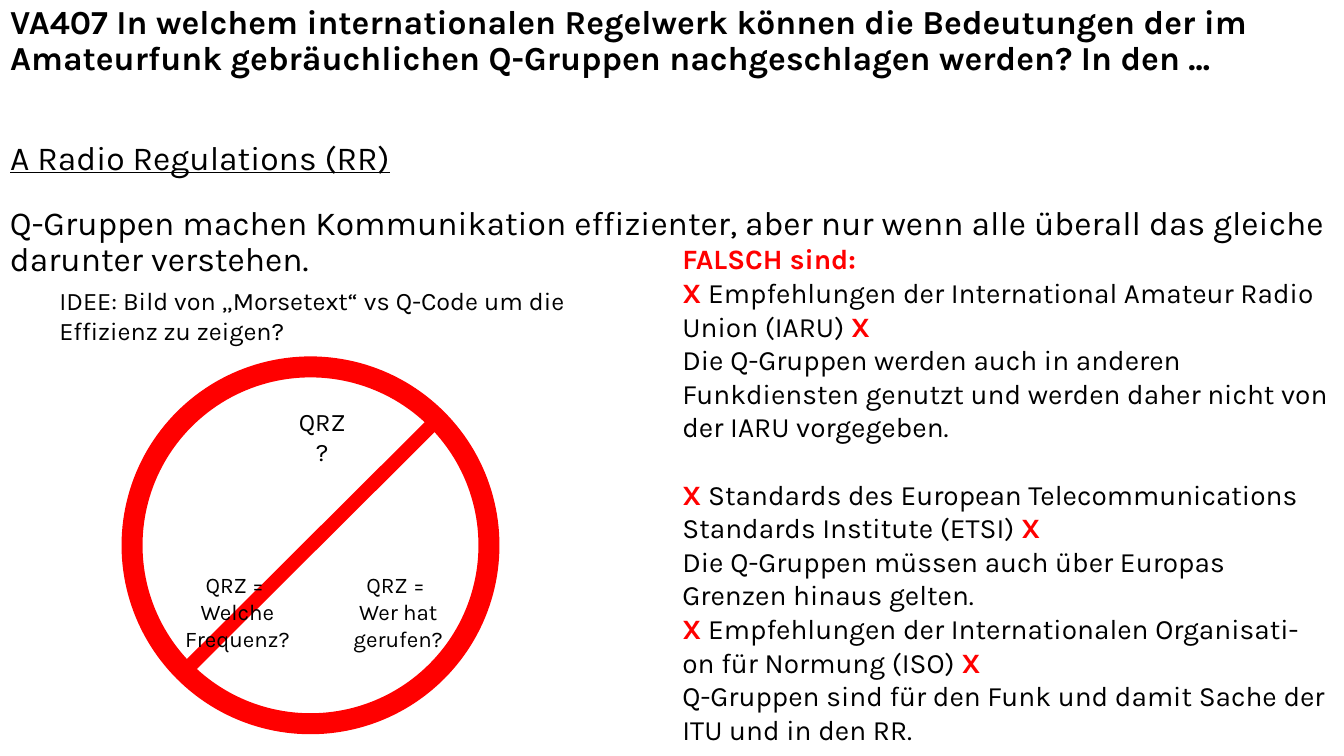
from pptx import Presentation
from pptx.dml.color import RGBColor
from pptx.enum.shapes import MSO_CONNECTOR, MSO_SHAPE
from pptx.enum.text import MSO_ANCHOR, MSO_AUTO_SIZE, PP_ALIGN
from pptx.oxml.ns import qn
from pptx.util import Inches, Pt

LEFT, CENTER = PP_ALIGN.LEFT, PP_ALIGN.CENTER
TOP = MSO_ANCHOR.TOP
FIXED = MSO_AUTO_SIZE.NONE
OVAL = MSO_SHAPE.OVAL
STRAIGHT = MSO_CONNECTOR.STRAIGHT

FONT = "Karla"
COLORS = {"text": "000000", "red": "FF0000"}
CROSS = "X"

QUESTION = ("VA407 In welchem internationalen Regelwerk können die Bedeutungen der im "
            "Amateurfunk gebräuchlichen Q-Gruppen nachgeschlagen werden? In den ...")
ANSWER = "A Radio Regulations (RR)"
REASON = ("Q-Gruppen machen Kommunikation effizienter, aber nur wenn alle überall "
          "das gleiche darunter verstehen.")
IDEA = "IDEE: Bild von „Morsetext“ vs Q-Code um die Effizienz zu zeigen?"

# first line, second line, explanation, space before in points
WRONG = [
    ("Empfehlungen der International Amateur Radio", "Union (IARU)",
     "Die Q-Gruppen werden auch in anderen Funkdiensten genutzt und werden "
     "daher nicht von der IARU vorgegeben.", 0),
    ("Standards des European Telecommunications", "Standards Institute (ETSI)",
     "Die Q-Gruppen müssen auch über Europas Grenzen hinaus gelten.", 24),
    ("Empfehlungen der Internationalen Organisati-", "on für Normung (ISO)",
     "Q-Gruppen sind für den Funk und damit Sache der ITU und in den RR.", 0),
]

# text, box relative to the sign, size
LABELS = [
    ("QRZ?", (1.54, 0.34, 0.69, 0.31), 18),
    ("QRZ = \nWer hat gerufen?", (2.06, 1.98, 1.16, 0.79), 16),
    ("QRZ = \nWelche Frequenz?", (0.39, 1.98, 1.31, 0.79), 16),
]


def rgb(name):
    return RGBColor.from_string(COLORS[name])


def style(run, size, color="text", bold=False, underline=False):
    font = run.font
    font.name, font.size, font.bold = FONT, Pt(size), bold
    font.underline = underline
    font.color.rgb = rgb(color)


def set_up(shape):
    frame = shape.text_frame
    frame.word_wrap = True
    frame.auto_size = FIXED
    frame.vertical_anchor = TOP
    return frame


def fill_text(shape, text, size, align=LEFT, spacing=1.0, **look):
    frame = set_up(shape)
    frame.text = text
    for para in frame.paragraphs:
        para.alignment = align
        para.line_spacing = spacing
        para.space_before = Pt(0)
        for run in para.runs:
            style(run, size, **look)


def add_text(shapes, box, text, size, **look):
    fill_text(shapes.add_textbox(*map(Inches, box)), text, size, **look)


def fill_holder(holder, box, text, **look):
    """Move a placeholder to the box and set its text without a bullet."""
    holder.left, holder.top, holder.width, holder.height = map(Inches, box)
    fill_text(holder, text, 24, spacing=0.9, **look)
    for para in holder.text_frame.paragraphs:
        props = para._p.get_or_add_pPr()
        props.set("marL", "0")
        props.set("indent", "0")
        props.append(props.makeelement(qn("a:buNone"), {}))


def add_wrong(slide, box):
    """List the wrong answers, each between red crosses."""
    frame = set_up(slide.shapes.add_textbox(*map(Inches, box)))
    frame.text = "FALSCH sind:"
    style(frame.paragraphs[0].runs[0], 20, "red", True)
    for first, second, why, gap in WRONG:
        rows = [(CROSS, " " + first), (second + " ", CROSS), (why,)]
        for index, parts in enumerate(rows):
            para = frame.add_paragraph()
            para.space_before = Pt(0 if index else gap)
            for part in parts:
                run = para.add_run()
                run.text = part
                mark = part == CROSS
                style(run, 20, "red" if mark else "text", mark)


def add_sign(slide, box):
    """Draw the ban sign with its labels."""
    left, top, width, height = box
    shapes = slide.shapes.add_group_shape().shapes

    ends = (left + 3.03, top + 0.52, left + 0.52, top + 3.02)
    bar = shapes.add_connector(STRAIGHT, *map(Inches, ends))
    bar.line.color.rgb = rgb("red")
    bar.line.width = Pt(10)
    props = bar._element.spPr
    props.append(props.makeelement(qn("a:effectLst"), {}))

    for text, (x, y, w, h), size in LABELS:
        add_text(shapes, (left + x, top + y, w, h), text, size, align=CENTER)

    ring = shapes.add_shape(OVAL, *map(Inches, box))
    ring.shadow.inherit = False
    ring.fill.background()
    ring.line.color.rgb = rgb("red")
    ring.line.width = Pt(15)


def main():
    deck = Presentation()
    deck.slide_width, deck.slide_height = Inches(13.33), Inches(7.5)
    slide = deck.slides.add_slide(deck.slide_layouts[1])
    fill_holder(slide.shapes.title, (0, 0, 13.33, 0.9), QUESTION, bold=True)
    fill_holder(slide.placeholders[1], (0, 1.35, 13.33, 0.6), ANSWER, underline=True)
    add_text(slide.shapes, (0.49, 2.78, 5.45, 0.71), IDEA, 18)
    add_wrong(slide, (6.67, 2.35, 6.67, 5.15))
    add_sign(slide, (1.31, 3.64, 3.54, 3.54))
    add_text(slide.shapes, (0, 2, 13.33, 1.57), REASON, 24, spacing=0.9)
    deck.save("out.pptx")


if __name__ == "__main__":
    main()
